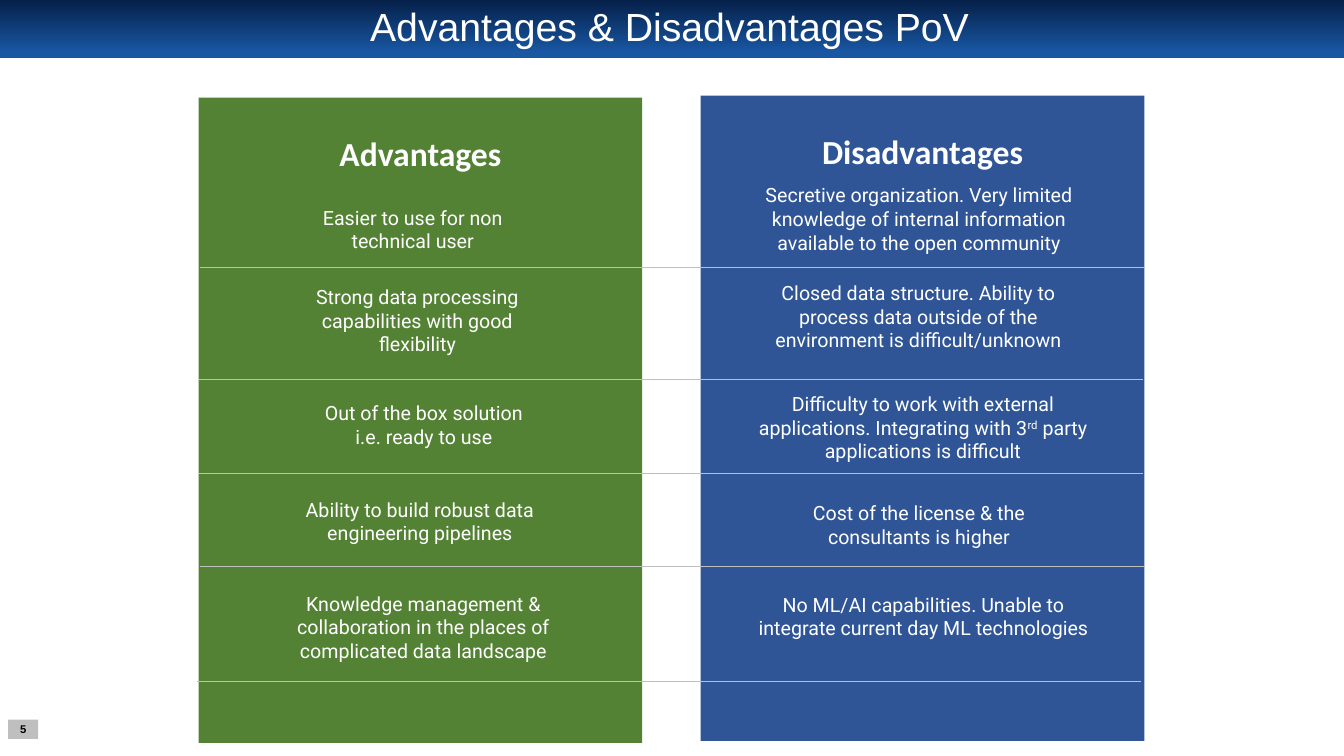
import pptx
import pptx.util
import pptx.dml.color
import pptx.enum.shapes
import pptx.enum.text
import pptx.oxml.ns
import lxml.etree

Inches = pptx.util.Inches
SHAPES = pptx.enum.shapes.MSO_SHAPE
CENTER = pptx.enum.text.PP_ALIGN.CENTER
MIDDLE = pptx.enum.text.MSO_ANCHOR.MIDDLE

PANEL_WIDTH, PANEL_HEIGHT = 4.4, 6.4

# Each entry: left and top within its panel, width, text
ADVANTAGES = [
    (0.94, 1.02, 2.37, "Easier to use for non technical user"),
    (0.9, 1.81, 2.54, "Strong data processing capabilities with good flexibility"),
    (1.05, 2.96, 2.37, "Out of the box solution i.e. ready to use"),
    (0.91, 3.92, 2.57, "Ability to build robust data engineering pipelines"),
    (0.73, 4.85, 3.0, "Knowledge management & collaboration in the places of "
                      "complicated data landscape"),
]
# A caret pair encloses superscript text
DISADVANTAGES = [
    (0.49, 0.82, 3.35, "Secretive organization. Very limited knowledge of internal "
                       "information available to the open community"),
    (0.61, 1.79, 3.1, "Closed data structure. Ability to process data outside of the "
                      "environment is difficult/unknown"),
    (0.47, 2.89, 3.47, "Difficulty to work with external applications. Integrating "
                       "with 3^rd^ party applications is difficult"),
    (0.98, 3.97, 2.37, "Cost of the license & the consultants is higher"),
    (0.34, 4.88, 3.74, "No ML/AI capabilities. Unable to integrate current day "
                       "ML technologies"),
]
# Each divider: left and height on the slide
DIVIDERS = [(1.98, 2.65), (1.97, 3.76), (1.97, 4.7), (1.98, 5.62), (1.95, 6.76)]
DIVIDER_LENGTH = 9.37


def color(hex_value):
    return pptx.dml.color.RGBColor.from_string(hex_value)


def style(paragraph, font_name, size, hex_value, bold=False):
    paragraph.alignment = CENTER
    paragraph.font.name = font_name
    paragraph.font.size = pptx.util.Pt(size)
    paragraph.font.color.rgb = color(hex_value)
    paragraph.font.bold = bold


def add_block(slide, left, top, width, height):
    block = slide.shapes.add_shape(
        SHAPES.RECTANGLE, Inches(left), Inches(top), Inches(width), Inches(height))
    block.shadow.inherit = False
    block.line.fill.background()
    return block


def add_text(slide, left, top, width, height, text, *look):
    label = slide.shapes.add_textbox(
        Inches(left), Inches(top), Inches(width), Inches(height))
    label.text_frame.word_wrap = True
    paragraph = label.text_frame.paragraphs[0]
    for position, part in enumerate(text.split("^")):
        run = paragraph.add_run()
        run.text = part
        if position % 2:
            run._r.get_or_add_rPr().set("baseline", "30000")
    style(paragraph, *look)


def add_header(slide, left, top, width, height):
    # Gradient band
    band = add_block(slide, left, top, width, height)
    band.fill.gradient()
    band.fill.gradient_angle = 270
    stops = band.fill.gradient_stops
    for stop, position, shade in zip(stops, (0, 0.9), ("052049", "1957A3")):
        stop.position = position
        stop.color.rgb = color(shade)

    # Title, brought in front of the band
    title = slide.shapes.title
    title.left, title.top = Inches(left + 0.66), Inches(top + 0.06)
    title.width, title.height = Inches(11.96), Inches(0.45)
    title.text_frame.text = "Advantages & Disadvantages PoV"
    title.text_frame.auto_size = pptx.enum.text.MSO_AUTO_SIZE.NONE
    title.text_frame.vertical_anchor = MIDDLE
    heading = title.text_frame.paragraphs[0]
    heading.line_spacing = 0.9
    style(heading, "Arial", 28, "FFFFFF")
    slide.shapes._spTree.append(title._element)


def add_page_number(slide, left, top, width, height):
    badge = add_block(slide, left, top, width, height)
    badge.fill.solid()
    badge.fill.fore_color.rgb = color("BFBFBF")
    frame = badge.text_frame
    frame.margin_left = frame.margin_right = frame.margin_top = frame.margin_bottom = 0
    frame.word_wrap = False
    frame.vertical_anchor = MIDDLE
    frame.text = "5"
    style(frame.paragraphs[0], "Arial", 8, "000000", True)


def add_panel(slide, left, top, fill, heading, entries):
    panel = add_block(slide, left, top, PANEL_WIDTH, PANEL_HEIGHT)
    panel.fill.solid()
    panel.fill.fore_color.rgb = color(fill)
    add_text(slide, left, top + 0.3, PANEL_WIDTH, 0.5, heading,
             "Calibri", 24, "FFFFFF", True)
    for entry_left, entry_top, width, text in entries:
        add_text(slide, left + entry_left, top + entry_top, width, 0.57, text,
                 "Roboto", 14, "FFFFFF")


def add_divider(slide, left, top, length):
    divider = slide.shapes.add_connector(
        pptx.enum.shapes.MSO_CONNECTOR.STRAIGHT,
        Inches(left), Inches(top), Inches(left + length), Inches(top))
    divider.line.color.rgb = color("BFBFBF")
    divider.line.width = pptx.util.Pt(0.5)
    lxml.etree.SubElement(divider._element.spPr, pptx.oxml.ns.qn("a:effectLst"))


def main():
    deck = pptx.Presentation()
    deck.slide_width, deck.slide_height = Inches(13.33), Inches(7.5)
    slide = deck.slides.add_slide(deck.slide_layouts.get_by_name("Title Only"))

    add_header(slide, 0, 0, 13.33, 0.58)
    add_page_number(slide, 0.08, 7.14, 0.3, 0.19)
    add_panel(slide, 1.97, 0.97, "548235", "Advantages", ADVANTAGES)
    add_panel(slide, 6.95, 0.95, "2F5597", "Disadvantages", DISADVANTAGES)
    for left, top in DIVIDERS:
        add_divider(slide, left, top, DIVIDER_LENGTH)

    deck.save("out.pptx")


if __name__ == "__main__":
    main()
